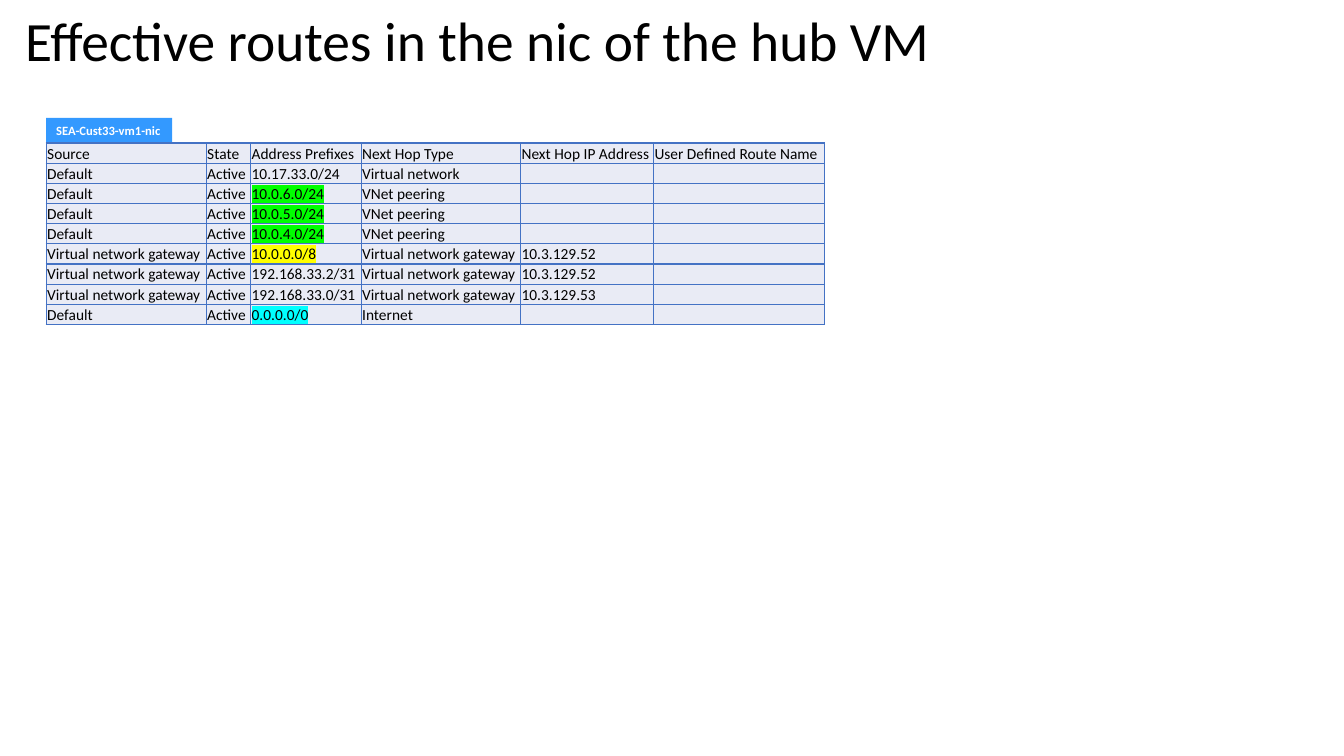
from lxml import etree
from pptx import Presentation
from pptx import util as u
from pptx.dml import color
from pptx.enum import shapes, text
from pptx.oxml import ns

ROUTES = [
    ("Source", "State", "Address Prefixes", "Next Hop Type",
     "Next Hop IP Address", "User Defined Route Name"),
    ("Default", "Active", "10.17.33.0/24", "Virtual network", "", ""),
    ("Default", "Active", "10.0.6.0/24", "VNet peering", "", ""),
    ("Default", "Active", "10.0.5.0/24", "VNet peering", "", ""),
    ("Default", "Active", "10.0.4.0/24", "VNet peering", "", ""),
    ("Virtual network gateway", "Active", "10.0.0.0/8",
     "Virtual network gateway", "10.3.129.52", ""),
    ("Virtual network gateway", "Active", "192.168.33.2/31",
     "Virtual network gateway", "10.3.129.52", ""),
    ("Virtual network gateway", "Active", "192.168.33.0/31",
     "Virtual network gateway", "10.3.129.53", ""),
    ("Default", "Active", "0.0.0.0/0", "Internet", "", ""),
]
COLUMN_WIDTHS = [114.3, 31.8, 78.9, 113.9, 95, 122.1]
ROW_HEIGHT = 14.4
HIGHLIGHTS = {
    "10.0.6.0/24": "00FF00",
    "10.0.5.0/24": "00FF00",
    "10.0.4.0/24": "00FF00",
    "10.0.0.0/8": "FFFF00",
    "0.0.0.0/0": "00FFFF",
}


def rgb(value):
    return color.RGBColor.from_string(value)


def assign(target, values):
    for name, value in values.items():
        setattr(target, name, value)


def add_solid_color(parent, tag, value):
    holder = etree.SubElement(parent, ns.qn(tag))
    etree.SubElement(holder, ns.qn("a:srgbClr"), val=value)
    return holder


class RouteSlide:
    font = "Calibri"
    ink = "000000"
    cell_fill = "E9EBF5"
    border = "4472C4"
    cell_format = {
        "margin_left": u.Pt(0.72), "margin_right": u.Pt(0.72),
        "margin_top": u.Pt(0.72), "margin_bottom": 0,
        "vertical_anchor": text.MSO_ANCHOR.BOTTOM,
    }

    def __init__(self, deck):
        self.page = deck.slides.add_slide(deck.slide_layouts[6])

    def add_words(self, para, words, size, ink=ink, bold=False):
        para.alignment = text.PP_ALIGN.LEFT
        span = para.add_run()
        span.text = words
        assign(span.font, {"size": u.Pt(size), "bold": bold, "name": self.font})
        span.font.color.rgb = rgb(ink)
        return span

    def highlight(self, span, value):
        properties = span._r.get_or_add_rPr()
        mark = add_solid_color(properties, "a:highlight", value)
        properties.find(ns.qn("a:latin")).addprevious(mark)

    def title(self, words, left, top, width, height, size):
        box = self.page.shapes.add_textbox(*map(u.Pt, (left, top, width, height)))
        assign(box.text_frame, {
            "word_wrap": True, "vertical_anchor": text.MSO_ANCHOR.MIDDLE})
        para = box.text_frame.paragraphs[0]
        para.line_spacing = 0.9
        self.add_words(para, words, size)

    def tab(self, words, left, top, width, height, fill):
        box = self.page.shapes.add_shape(
            shapes.MSO_SHAPE.RECTANGLE, *map(u.Pt, (left, top, width, height)))
        box.shadow.inherit = False
        box.fill.solid()
        box.fill.fore_color.rgb = rgb(fill)
        box.line.fill.background()
        assign(box.text_frame, {
            "word_wrap": False, "vertical_anchor": text.MSO_ANCHOR.TOP,
            "auto_size": text.MSO_AUTO_SIZE.SHAPE_TO_FIT_TEXT})
        self.add_words(box.text_frame.paragraphs[0], words, 9, "FFFFFF", True)

    def outline(self, cell):
        properties = cell._tc.get_or_add_tcPr()
        for index, side in enumerate(("a:lnL", "a:lnR", "a:lnT", "a:lnB")):
            edge = etree.SubElement(properties, ns.qn(side), w=str(u.Pt(1)))
            add_solid_color(edge, "a:solidFill", self.border)
            properties.insert(index, edge)

    def fill_cell(self, cell, words, size):
        assign(cell, self.cell_format)
        cell.fill.solid()
        cell.fill.fore_color.rgb = rgb(self.cell_fill)
        self.outline(cell)
        para = cell.text_frame.paragraphs[0]
        if not words:
            # An empty cell still needs its text size to keep the row low
            etree.SubElement(para._p, ns.qn("a:endParaRPr"), sz=str(size * 100))
            return
        span = self.add_words(para, words, size)
        if words in HIGHLIGHTS:
            self.highlight(span, HIGHLIGHTS[words])

    def table(self, rows, left, top, widths, row_height, size):
        frame = self.page.shapes.add_table(
            len(rows), len(widths), u.Pt(left), u.Pt(top),
            u.Pt(sum(widths)), u.Pt(row_height * len(rows)))
        grid = frame.table
        assign(grid, {"first_row": False, "horz_banding": False})
        for column, width in zip(grid.columns, widths):
            column.width = u.Pt(width)
        for row, values in zip(grid.rows, rows):
            row.height = u.Pt(row_height)
            for cell, words in zip(row.cells, values):
                self.fill_cell(cell, words, size)


def main():
    deck = Presentation()
    assign(deck, {"slide_width": u.Pt(960), "slide_height": u.Pt(540)})
    slide = RouteSlide(deck)

    # Heading
    slide.title("Effective routes in the nic of the hub VM",
                10.8, 8.6, 828, 45.4, 39.6)

    # Route table with its name tab
    slide.tab("SEA-Cust33-vm1-nic", 33, 84.2, 90, 18, "3399FF")
    slide.table(ROUTES, 33, 102.2, COLUMN_WIDTHS, ROW_HEIGHT, 11)

    deck.save("out.pptx")


if __name__ == "__main__":
    main()
